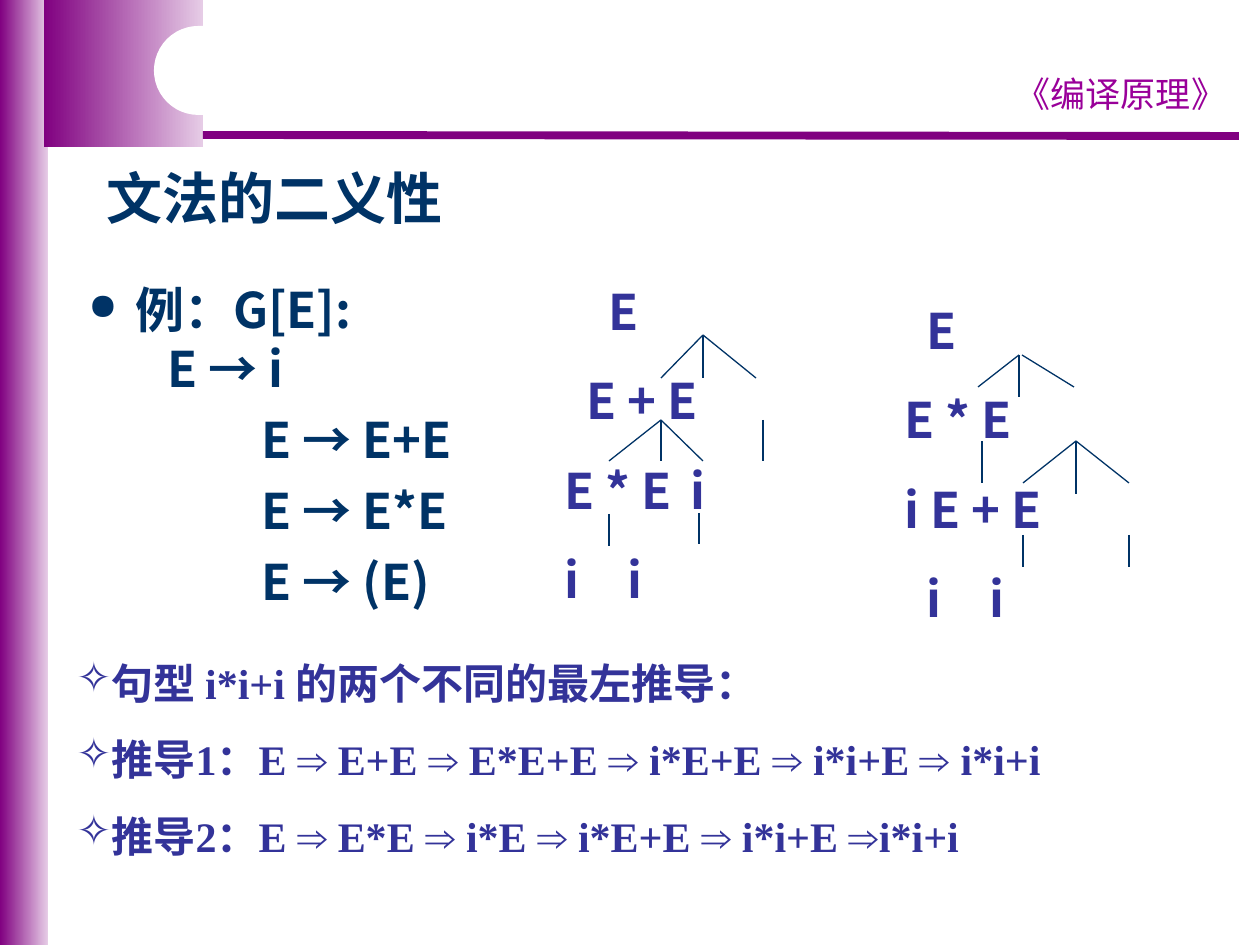
"""Build a slide on grammar ambiguity with two parse trees and two leftmost derivations."""
from lxml import etree
from pptx import Presentation
from pptx.dml.color import RGBColor
from pptx.enum.shapes import MSO_CONNECTOR, MSO_SHAPE
from pptx.enum.text import MSO_ANCHOR, PP_ALIGN
from pptx.oxml.ns import qn
from pptx.util import Emu, Pt

RECTANGLE = MSO_SHAPE.RECTANGLE
ROUNDED = MSO_SHAPE.ROUNDED_RECTANGLE
STRAIGHT = MSO_CONNECTOR.STRAIGHT
LEFT, CENTER = PP_ALIGN.LEFT, PP_ALIGN.CENTER
TOP = MSO_ANCHOR.TOP

PURPLE, LILAC, WHITE = "800080", "E6CCE6", "FFFFFF"
NAVY, INDIGO, MAGENTA = "003366", "333399", "990099"
SERIF, SANS, COMIC, ARROW_FONT = "Times New Roman", "Noto Sans CJK SC", "Comic Neue", "Arial"


def px(length):
    return Emu(round(length * 914400 / 126))


def rgb(color):
    return RGBColor.from_string(color)


prs = Presentation()
prs.slide_width, prs.slide_height = px(1260), px(945)
slide = prs.slides.add_slide(prs.slide_layouts[5])
shapes = slide.shapes

for left, width, height in [(0, 48, 945), (44, 159, 147)]:
    band = shapes.add_shape(RECTANGLE, px(left), 0, px(width), px(height))
    band.shadow.inherit = False
    band.line.fill.background()
    band.fill.gradient()
    band.fill.gradient_angle = 0
    for stop, color, position in zip(band.fill.gradient_stops, (PURPLE, LILAC), (0, 1)):
        stop.color.rgb = rgb(color)
        stop.position = position

notch = shapes.add_shape(ROUNDED, px(154), px(26), px(456), px(89))
notch.adjustments[0] = 0.5
notch.shadow.inherit = False
notch.fill.solid()
notch.fill.fore_color.rgb = rgb(WHITE)
notch.line.fill.background()

title = shapes.title
title.left, title.top, title.width, title.height = px(94), px(165), px(1134), px(158)
title.text_frame.vertical_anchor = TOP
heading = title.text_frame.paragraphs[0]
heading.text = "文法的二义性"
heading.alignment = LEFT
heading.line_spacing = 0.9
heading.font.size = Pt(32)
heading.font.name = SERIF
heading.font.bold = True
heading.font.color.rgb = rgb(NAVY)

blocks = [
    ((997, 66, 248, 55), 20, COMIC, MAGENTA, False, CENTER, 0, None,
     [("《编译原理》", 0, 0, None)]),
    ((76, 273, 1134, 624), 28, SANS, NAVY, True, LEFT, 7, ("●", 75),
     [("例：G[E]:\n\tE → i", 47, -47, 79),
      ("E → E+E", 173, 0, None),
      ("E → E*E", 173, 0, None),
      ("E → (E)", 173, 0, None)]),
    ((530, 275, 315, 340), 28, SANS, INDIGO, True, LEFT, 17.5, None,
     [("E", 66, 0, None),
      ("E + E", 44, 0, None),
      ("E * E\ti", 22, 0, 129),
      ("i\ti", 22, 0, 48)]),
    ((848, 294, 315, 340), 28, SANS, INDIGO, True, LEFT, 17.5, None,
     [("E", 66, 0, None),
      ("E * E", 44, 0, None),
      ("i E + E", 44, 0, None),
      ("i\ti", 66, 0, 48)]),
    ((64, 651, 1081, 217), 24, SERIF, INDIGO, True, LEFT, 15, ("✧", 100),
     [("句型 i*i+i 的两个不同的最左推导：", 0, 0, None),
      ("推导1：E ⇒ E+E ⇒ E*E+E ⇒ i*E+E ⇒ i*i+E ⇒ i*i+i", 0, 0, None),
      ("推导2：E ⇒ E*E ⇒ i*E ⇒ i*E+E ⇒ i*i+E ⇒i*i+i", 0, 0, None)]),
]

for place, size, font, color, bold, alignment, gap, bullet, lines in blocks:
    frame = shapes.add_textbox(*map(px, place)).text_frame
    frame.word_wrap = True
    for index, (text, margin, indent, tab) in enumerate(lines):
        line = frame.paragraphs[0] if index == 0 else frame.add_paragraph()
        if "⇒" in text:
            for step, expression in enumerate(text.split("⇒")):
                if step:
                    arrow = line.add_run()
                    arrow.text = "⇒"
                    arrow.font.name = ARROW_FONT
                line.add_run().text = expression
        else:
            line.text = text
        line.alignment = alignment
        if index:
            line.space_before = Pt(gap)
        properties = line._p.get_or_add_pPr()
        properties.set("marL", str(px(margin)))
        properties.set("indent", str(px(indent)))
        if bullet and margin <= 47:
            mark, percent = bullet
            bullet_color = etree.SubElement(properties, qn("a:buClr"))
            etree.SubElement(bullet_color, qn("a:srgbClr"), val=color)
            etree.SubElement(properties, qn("a:buSzPct"), val=str(percent * 1000))
            etree.SubElement(properties, qn("a:buChar"), char=mark)
        if tab:
            tabs = etree.SubElement(properties, qn("a:tabLst"))
            etree.SubElement(tabs, qn("a:tab"), pos=str(px(tab)), algn="l")
        line.font.size = Pt(size)
        line.font.name = font
        line.font.bold = bold
        line.font.color.rgb = rgb(color)

branches = [
    (703, 335, [(703, 378), (661, 378), (756, 378)]),
    (661, 420, [(661, 461), (609, 461), (703, 461)]),
    (763, 420, [(763, 461)]),
    (609, 514, [(609, 546)]),
    (699, 513, [(699, 544)]),
    (1019, 355, [(1019, 397), (978, 387)]),
    (1022, 355, [(1074, 387)]),
    (982, 441, [(982, 483)]),
    (1076, 441, [(1076, 494), (1023, 483), (1129, 483)]),
    (1023, 535, [(1023, 567)]),
    (1129, 535, [(1129, 567)]),
]
strokes = [(203, 135, 1239, 136, PURPLE, 4.5)]
for x, y, children in branches:
    strokes += [(x, y, child_x, child_y, NAVY, 0.75) for child_x, child_y in children]

for x1, y1, x2, y2, color, weight in strokes:
    stroke = shapes.add_connector(STRAIGHT, px(x1), px(y1), px(x2), px(y2))
    stroke.line.color.rgb = rgb(color)
    stroke.line.width = Pt(weight)
    etree.SubElement(stroke._element.spPr, qn("a:effectLst"))

prs.save("out.pptx")
